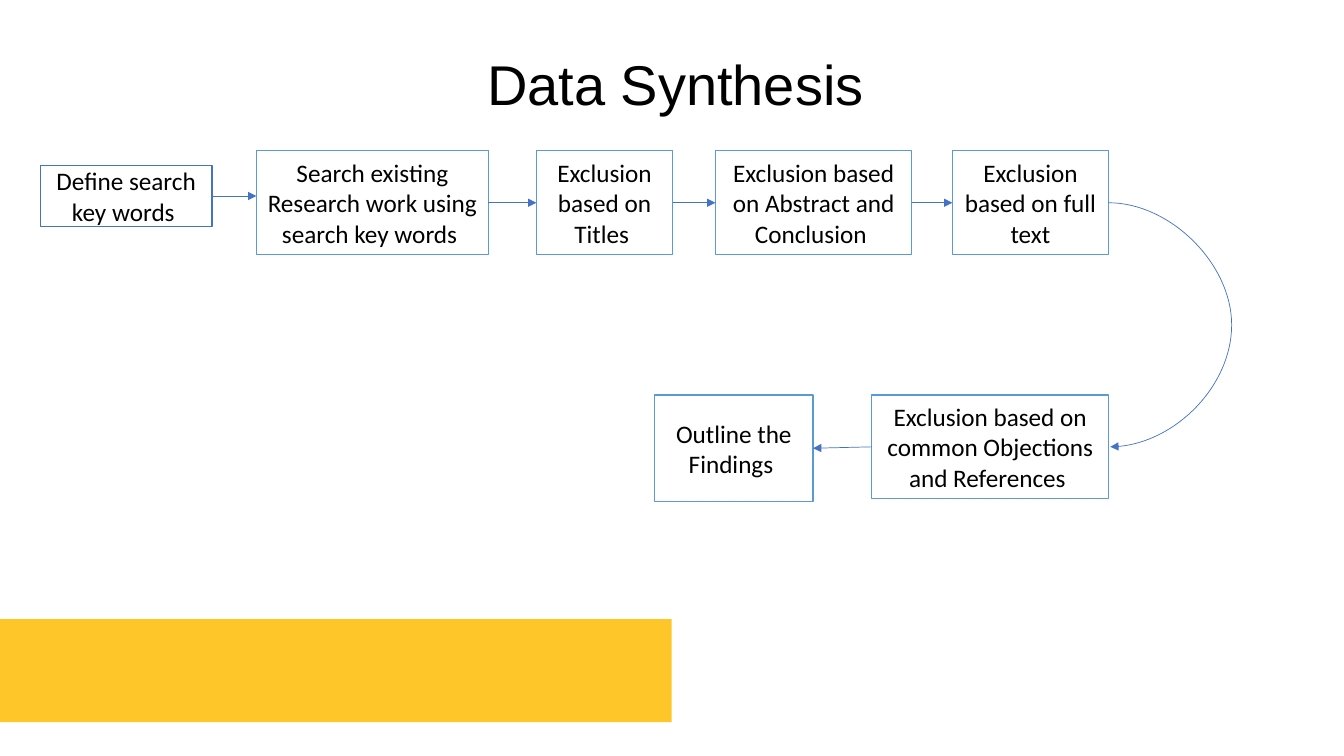
import pptx
import pptx.util
import pptx.dml.color
import pptx.enum.shapes
import pptx.enum.text
import pptx.oxml.ns
import pptx.oxml.xmlchemy

Cm = pptx.util.Cm
Pt = pptx.util.Pt
OxmlElement = pptx.oxml.xmlchemy.OxmlElement
COLOURS = {"band": "FFC629", "start": "4472C4", "step": "5B9BD5",
           "arrow": "4472C4", "paper": "FFFFFF", "text": "000000"}


def colour(name):
    return pptx.dml.color.RGBColor.from_string(COLOURS[name])


def add_arrow(kind, start, end):
    """Draw a thin connector from start to end (in cm) with a head at its end."""
    arrow = page.shapes.add_connector(kind, *(Cm(value) for value in start + end))
    arrow.line.color.rgb = colour("arrow")
    arrow.line.width = Pt(0.5)
    head = OxmlElement("a:tailEnd")
    head.set("type", "triangle")
    arrow.line._get_or_add_ln().append(head)
    arrow._element.spPr.append(OxmlElement("a:effectLst"))
    return arrow


deck = pptx.Presentation()
deck.slide_width, deck.slide_height = Cm(33.87), Cm(19.05)
page = deck.slides.add_slide(deck.slide_layouts.get_by_name("Title Only"))

band = page.shapes.add_shape(pptx.enum.shapes.MSO_SHAPE.RECTANGLE,
                             Cm(0), Cm(15.6), Cm(16.93), Cm(2.6))
band.shadow.inherit = False
band.fill.solid()
band.fill.fore_color.rgb = colour("band")
band.line.fill.background()

title = page.shapes.title
title.left, title.top, title.width, title.height = Cm(1.02), Cm(0.97), Cm(32), Cm(1.52)
frame = title.text_frame
frame.text = "Data Synthesis"
frame.auto_size = pptx.enum.text.MSO_AUTO_SIZE.NONE
frame.vertical_anchor = pptx.enum.text.MSO_ANCHOR.TOP
frame.margin_top = Cm(0.48)
para = frame.paragraphs[0]
para.alignment = pptx.enum.text.PP_ALIGN.CENTER
para.line_spacing = 0.9
para.font.size = Pt(40)
para.font.name = "Arial"
para.font.color.rgb = colour("text")

# Each step: text, left, top, width, height in cm, outline colour
steps = [
    ("Define search key words ", 1.02, 4.17, 4.32, 1.54, "start"),
    ("Search existing Research work using search key words ", 6.46, 3.8, 5.85, 2.62, "step"),
    ("Exclusion based on Titles ", 13.52, 3.8, 3.43, 2.62, "step"),
    ("Exclusion based on Abstract and Conclusion ", 18.03, 3.8, 4.95, 2.62, "step"),
    ("Exclusion based on full text", 24, 3.8, 3.94, 2.62, "step"),
    ("Exclusion based on common Objections and References ", 21.97, 9.95, 5.97, 2.62, "step"),
    ("Outline the Findings ", 16.5, 9.95, 3.99, 2.69, "step"),
]
for text, left, top, width, height, outline in steps:
    box = page.shapes.add_shape(pptx.enum.shapes.MSO_SHAPE.RECTANGLE,
                                Cm(left), Cm(top), Cm(width), Cm(height))
    box.shadow.inherit = False
    box.fill.solid()
    box.fill.fore_color.rgb = colour("paper")
    box.line.color.rgb = colour(outline)
    box.line.width = Pt(1)
    frame = box.text_frame
    frame.word_wrap = True
    frame.vertical_anchor = pptx.enum.text.MSO_ANCHOR.MIDDLE
    frame.text = text
    para = frame.paragraphs[0]
    para.alignment = pptx.enum.text.PP_ALIGN.CENTER
    para.font.size = Pt(18)
    para.font.name = "Calibri"
    para.font.color.rgb = colour("text")

# Straight arrows within the top row, then the one in the bottom row
straight = pptx.enum.shapes.MSO_CONNECTOR.STRAIGHT
for source, target in zip(steps[:4], steps[1:5]):
    middle = source[2] + source[4] / 2
    add_arrow(straight, (source[1] + source[3], middle), (target[1], middle))
source, target = steps[5:]
add_arrow(straight, (source[1], source[2] + source[4] / 2),
          (target[1] + target[3], target[2] + target[4] / 2))

# Curve from the end of the top row round to the bottom row
bulge, shift = 3.1, 0.04
curve = add_arrow(pptx.enum.shapes.MSO_CONNECTOR.CURVE, (27.94, 5.11), (27.94 + shift, 11.26))
geometry = curve._element.spPr.find(pptx.oxml.ns.qn("a:prstGeom"))
adjustments = geometry.find(pptx.oxml.ns.qn("a:avLst"))
guide = OxmlElement("a:gd")
guide.set("name", "adj1")
guide.set("fmla", f"val {round(bulge / shift * 100000)}")
adjustments.append(guide)

deck.save("out.pptx")
